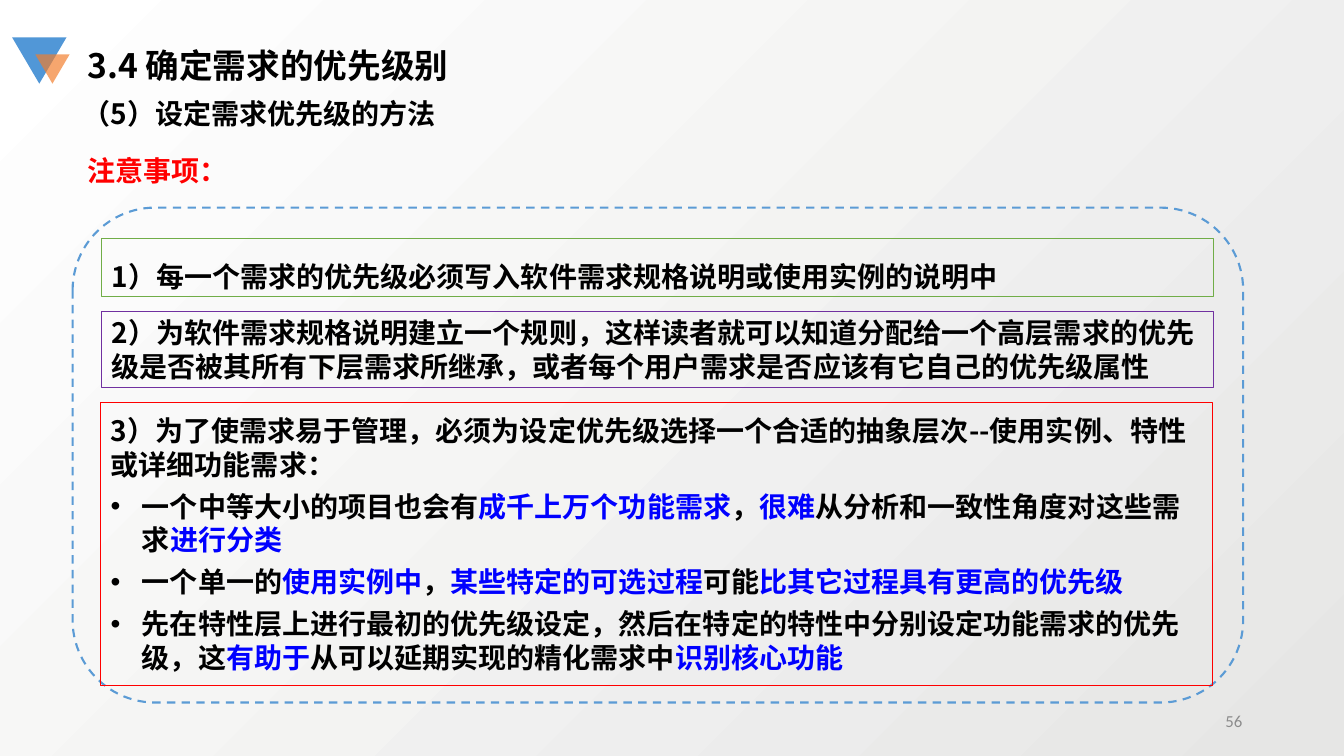
from lxml.etree import SubElement
from pptx import Presentation
from pptx.dml.color import RGBColor
from pptx.enum.dml import MSO_LINE
from pptx.enum.shapes import MSO_SHAPE
from pptx.enum.text import MSO_ANCHOR, PP_ALIGN
from pptx.oxml.ns import qn
from pptx.util import Inches, Pt

THEME = dict(
    cjk="Noto Sans CJK SC", latin="Calibri",
    black="000000", red="FF0000", blue="0000FF", grey="8C8C8C",
    sky="5B9BD5", green="70AD47", purple="7030A0",
    logo="5197D7", orange="F37D2A", dark="E6E6E5", light="FFFFFF",
    head=24, body=20, small=12,
)

# Each paragraph is a list of runs; every second run is highlighted.
HEADS = [
    ("3.4 确定需求的优先级别", (0.77, 0.4, 4.11, 0.5), "head", "black"),
    ("（5）设定需求优先级的方法", (0.72, 0.91, 8.49, 0.44), "body", "black"),
    ("注意事项：", (0.77, 1.47, 6.67, 0.44), "body", "red"),
]
RULES = [
    ("green", (1.01, 2.37, 11.03, 0.57), dict(space=1.5),
     [["1）每一个需求的优先级必须写入软件需求规格说明或使用实例的说明中"]]),
    ("purple", (1.01, 3.09, 11.03, 0.75), {},
     [["2）为软件需求规格说明建立一个规则，这样读者就可以知道分配给一个高层需求的优先级"
       "是否被其所有下层需求所继承，或者每个用户需求是否应该有它自己的优先级属性"]]),
    ("red", (1, 3.99, 11.03, 2.81), dict(after=6, bullet_from=1), [
        ["3）为了使需求易于管理，必须为设定优先级选择一个合适的抽象层次--使用实例、"
         "特性或详细功能需求："],
        ["一个中等大小的项目也会有", "成千上万个功能需求", "，", "很难",
         "从分析和一致性角度对这些需求", "进行分类"],
        ["一个单一的", "使用实例中", "，", "某些特定的可选过程", "可能",
         "比其它过程具有更高的优先级"],
        ["先在特性层上进行最初的优先级设定，然后在特定的特性中分别设定功能需求的优先级，这",
         "有助于", "从可以延期实现的精化需求中", "识别核心功能"],
    ]),
]
MARKS = [
    ((0.12, 0.37, 0.54, 0.46), "logo", 100),
    ((0.35, 0.54, 0.34, 0.29), "orange", 68),
]
FRAME = (0.72, 2.06, 11.61, 4.91)
NUMBER = ("56", (9.42, 6.95, 3, 0.4))


def rgb(name):
    return RGBColor.from_string(THEME[name])


def place(box):
    return [Inches(n) for n in box]


def add_bullet(para):
    props = para._p.get_or_add_pPr()
    props.set("marL", str(Inches(0.31)))
    props.set("indent", str(-Inches(0.31)))
    SubElement(props, qn("a:buFont"), typeface="Arial")
    SubElement(props, qn("a:buChar"), char="•")


def write(shape, paras, size="body", color="black", bold=True, font="cjk",
          align=PP_ALIGN.LEFT, anchor=MSO_ANCHOR.MIDDLE, wrap=True,
          space=None, after=None, bullet_from=None):
    frame = shape.text_frame
    frame.word_wrap = wrap
    frame.vertical_anchor = anchor
    for i, runs in enumerate(paras):
        para = frame.add_paragraph() if i else frame.paragraphs[0]
        para.alignment = align
        if bullet_from is not None and i >= bullet_from:
            add_bullet(para)
        if space:
            para.line_spacing = space
        if after:
            para.space_after = Pt(after)
        for j, text in enumerate(runs):
            run = para.add_run()
            run.text = text
            run.font.size = Pt(THEME[size])
            run.font.bold = bold
            run.font.color.rgb = rgb("blue" if j % 2 else color)
            run.font.name = THEME[font]
            SubElement(run._r.get_or_add_rPr(), qn("a:ea"), typeface=THEME["cjk"])


def add_outline(slide, kind, box, color, width):
    shape = slide.shapes.add_shape(kind, *place(box))
    shape.shadow.inherit = False
    shape.fill.background()
    shape.line.color.rgb = rgb(color)
    shape.line.width = Pt(width)
    return shape


def add_mark(slide, box, color, alpha):
    mark = slide.shapes.add_shape(MSO_SHAPE.ISOSCELES_TRIANGLE, *place(box))
    mark.shadow.inherit = False
    mark.rotation = 180
    mark.line.fill.background()
    mark.fill.solid()
    mark.fill.fore_color.rgb = rgb(color)
    if alpha < 100:
        tint = mark._element.spPr.find(qn("a:solidFill"))[0]
        SubElement(tint, qn("a:alpha"), val=str(alpha * 1000))


def paint_back(slide):
    fill = slide.background.fill
    fill.gradient()
    fill.gradient_angle = 135
    for stop, spot, color in zip(fill.gradient_stops, (0, 1), ("dark", "light")):
        stop.position = spot
        stop.color.rgb = rgb(color)


def main():
    deck = Presentation()
    deck.slide_width, deck.slide_height = Inches(13.33), Inches(7.5)
    slide = deck.slides.add_slide(deck.slide_layouts[6])
    paint_back(slide)
    for mark in MARKS:
        add_mark(slide, *mark)

    text, box = NUMBER
    write(slide.shapes.add_textbox(*place(box)), [[text]], size="small",
          color="grey", bold=False, font="latin", align=PP_ALIGN.RIGHT)
    for text, box, size, color in HEADS:
        write(slide.shapes.add_textbox(*place(box)), [[text]], size=size,
              color=color, anchor=MSO_ANCHOR.TOP, wrap=size != "head")

    frame = add_outline(slide, MSO_SHAPE.ROUNDED_RECTANGLE, FRAME, "sky", 1.5)
    frame.line.dash_style = MSO_LINE.DASH
    for color, box, form, paras in RULES:
        write(add_outline(slide, MSO_SHAPE.RECTANGLE, box, color, 0.75), paras, **form)
    deck.save("out.pptx")


if __name__ == "__main__":
    main()
